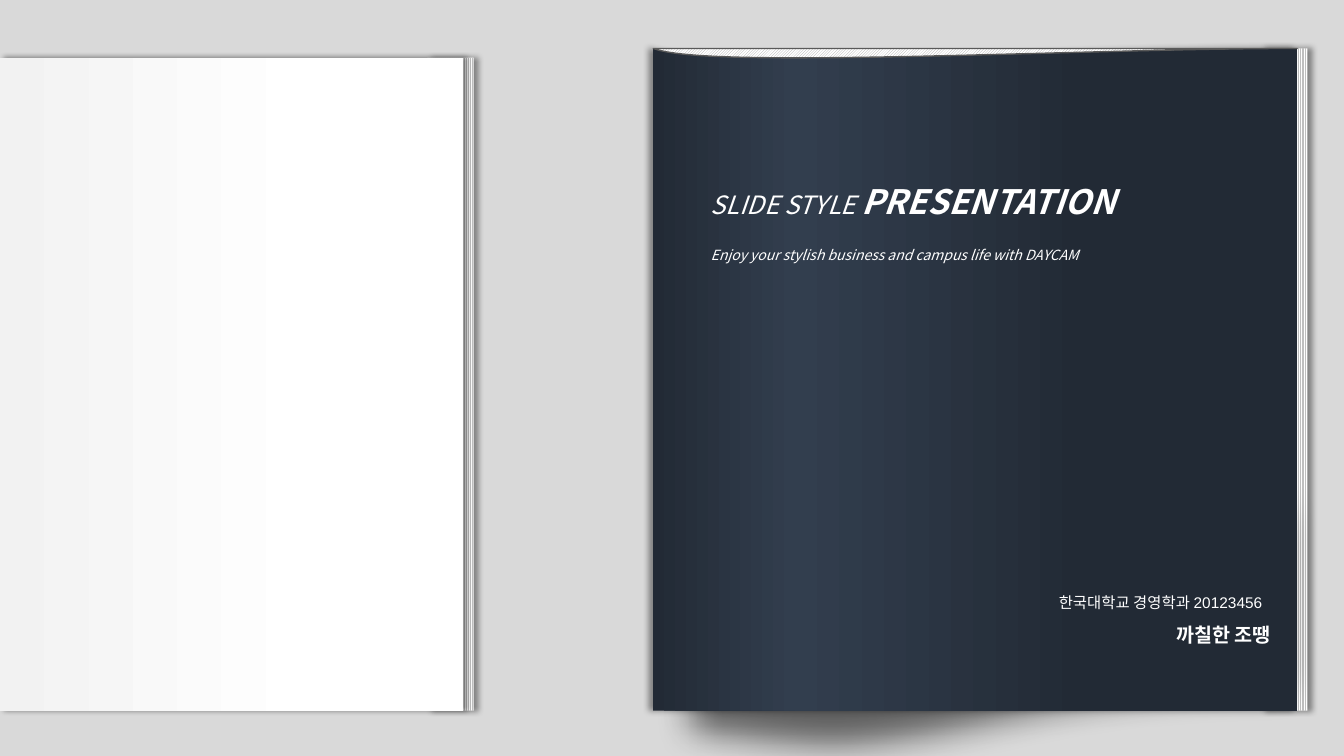
from lxml import etree
from pptx import Presentation, util as u
from pptx.dml.color import RGBColor
from pptx.enum import dml, shapes, text
from pptx.oxml.ns import qn


def rgb(value):
    """Turn a hex string into a colour."""
    return RGBColor.from_string(value)


def child(parent, tag, **attrs):
    """Add a DrawingML element under a parent."""
    el = etree.SubElement(parent, qn("a:" + tag))
    for key, value in attrs.items():
        el.set(key, str(value))
    return el


def bezier(a, b, c, d, steps=32):
    """List the points of a cubic curve."""
    points = []
    for i in range(steps + 1):
        t = i / steps
        weights = ((1 - t) ** 3, 3 * t * (1 - t) ** 2, 3 * t * t * (1 - t), t ** 3)
        points.append(tuple(sum(w * p[k] for w, p in zip(weights, (a, b, c, d)))
                            for k in (0, 1)))
    return points


class Deck:
    """Hold the style and the current slide."""

    WHITE = "FFFFFF"
    TITLE_FONT = "Noto Sans CJK KR"
    BODY_FONT = "Arial"

    def __init__(self, background):
        """Start a one-slide deck with a plain background."""
        self.prs = Presentation()
        self.prs.slide_width, self.prs.slide_height = u.Pt(960), u.Pt(540)
        self.s = self.prs.slides.add_slide(self.prs.slide_layouts[0])
        self.s.background.fill.solid()
        self.s.background.fill.fore_color.rgb = rgb(background)

    def shape(self, kind, x, y, w, h):
        """Add a preset shape without outline or theme shadow."""
        sp = self.s.shapes.add_shape(kind, u.Pt(x), u.Pt(y), u.Pt(w), u.Pt(h))
        sp.line.fill.background()
        sp.shadow.inherit = False
        return sp

    def outline(self, points):
        """Add a closed freeform through the points."""
        pts = [(u.Pt(x), u.Pt(y)) for x, y in points]
        builder = self.s.shapes.build_freeform(*pts[0])
        builder.add_line_segments(pts[1:], close=True)
        sp = builder.convert_to_shape()
        sp.line.fill.background()
        sp.shadow.inherit = False
        return sp

    def effect(self, sp, tag, **attrs):
        """Add an effect to a shape."""
        return child(sp.element.spPr.find(qn("a:effectLst")), tag, **attrs)

    def shadow(self, sp, angle):
        """Cast a soft side shadow."""
        el = self.effect(sp, "outerShdw", blurRad=u.Pt(4), dist=u.Pt(3),
                         dir=angle * 60000, algn="ctr", rotWithShape=0)
        child(child(el, "srgbClr", val="000000"), "alpha", val=40000)

    def gradient(self, sp, stops):
        """Fill a shape from left to right."""
        sp.fill.gradient()
        sp.fill.gradient_angle = 0
        gs_list = sp.element.spPr.find(".//" + qn("a:gsLst"))
        gs_list.clear()
        for pos, color in stops:
            child(child(gs_list, "gs", pos=pos * 1000), "srgbClr", val=color)

    def pattern(self, sp, kind, color):
        """Fill a shape with a hatch on white."""
        sp.fill.patterned()
        sp.fill.pattern = kind
        sp.fill.fore_color.rgb = rgb(color)
        sp.fill.back_color.rgb = rgb(self.WHITE)

    def page_edges(self, x, y, h):
        """Draw the stacked page edges of a book."""
        sp = self.shape(shapes.MSO_SHAPE.RECTANGLE, x, y, 33.1, h)
        self.pattern(sp, dml.MSO_PATTERN.LIGHT_VERTICAL, "BFBFBF")
        self.shadow(sp, 0)

    def floor_shadow(self, x, y, w, h):
        """Draw the blurred shadow under the book."""
        sp = self.shape(shapes.MSO_SHAPE.FLOWCHART_DOCUMENT, x, y, w, h)
        sp.fill.solid()
        sp.fill.fore_color.rgb = rgb("000000")
        child(sp.element.spPr.find(".//" + qn("a:srgbClr")), "alpha", val=57000)
        self.effect(sp, "softEdge", rad=u.Pt(25))

    def frame(self, sp, x, y, w, h):
        """Place a text shape on top, without margins."""
        sp.left, sp.top, sp.width, sp.height = (u.Pt(v) for v in (x, y, w, h))
        sp.element.getparent().append(sp.element)
        tf = sp.text_frame
        tf.word_wrap = True
        tf.auto_size = text.MSO_AUTO_SIZE.NONE
        tf.vertical_anchor = text.MSO_ANCHOR.MIDDLE
        tf.margin_left = tf.margin_top = tf.margin_right = tf.margin_bottom = 0
        return tf

    def set_line(self, p, runs, font, align, spacing=1.0, italic=False):
        """Put runs of text, size and weight into a paragraph."""
        p.alignment, p.line_spacing, p.space_before = align, spacing, u.Pt(0)
        p.font.name, p.font.italic = font, italic
        p.font.color.rgb = rgb(self.WHITE)
        if len(runs) == 1:
            p.font.size, p.font.bold = u.Pt(runs[0][1]), runs[0][2]
        for words, size, bold in runs:
            r = p.add_run()
            r.text = words
            if len(runs) > 1:
                r.font.size, r.font.bold = u.Pt(size), bold

    def heading(self, sp, box, runs):
        """Fill a title or subtitle placeholder."""
        tf = self.frame(sp, *box)
        self.set_line(tf.paragraphs[0], runs, self.TITLE_FONT, text.PP_ALIGN.LEFT, italic=True)

    def author(self, box, lines):
        """Add right-aligned lines, each with its right indent."""
        tf = self.frame(self.s.shapes.add_textbox(0, 0, 0, 0), *box)
        for i, (words, size, bold, indent) in enumerate(lines):
            p = tf.add_paragraph() if i else tf.paragraphs[0]
            p._p.get_or_add_pPr().set("marR", str(u.Pt(indent)))
            self.set_line(p, [(words, size, bold)], self.BODY_FONT, text.PP_ALIGN.RIGHT, 1.5)


def main():
    """Build the book cover slide."""
    deck = Deck("D9D9D9")
    left, right, top, bottom = 466.6, 926.6, 34.6, 507.6
    curl = bezier((right, top), (773.3, top), (504.7, 49.7), (left, top))

    deck.page_edges(900.7, top, bottom - top)
    deck.floor_shadow(468, 342, 473, 216.7)
    cover = deck.outline(curl + [(left, bottom), (right, bottom)])
    deck.gradient(cover, [(0, "222A35"), (22, "323E4E"), (67, "222A35")])
    deck.shadow(cover, 180)

    deck.heading(deck.s.shapes.title, (507.6, 124, 340, 39),
                 [("SLIDE STYLE ", 18, False), ("PRESENTATION", 24, True)])
    deck.heading(deck.s.placeholders[1], (507.6, 172, 310.3, 20),
                 [("Enjoy your stylish business and campus life with DAYCAM", 10, False)])
    deck.author((725, 408.2, 182.9, 62.6),
                [("한국대학교 경영학과 20123456", 11, False, 6.1), ("까칠한 조땡", 14, True, 0)])

    pages = deck.outline(curl)
    deck.pattern(pages, dml.MSO_PATTERN.LIGHT_UPWARD_DIAGONAL, "A6A6A6")
    pages.line.color.rgb = rgb("595959")
    pages.line.width = u.Pt(1)

    inner_top = 41.2
    deck.page_edges(305.3, inner_top, bottom - inner_top)
    page = deck.shape(shapes.MSO_SHAPE.RECTANGLE, 0, inner_top, 330.5, bottom - inner_top)
    deck.gradient(page, [(0, "F2F2F2"), (67, "FFFFFF")])
    deck.shadow(page, 0)

    deck.prs.save("out.pptx")


if __name__ == "__main__":
    main()
